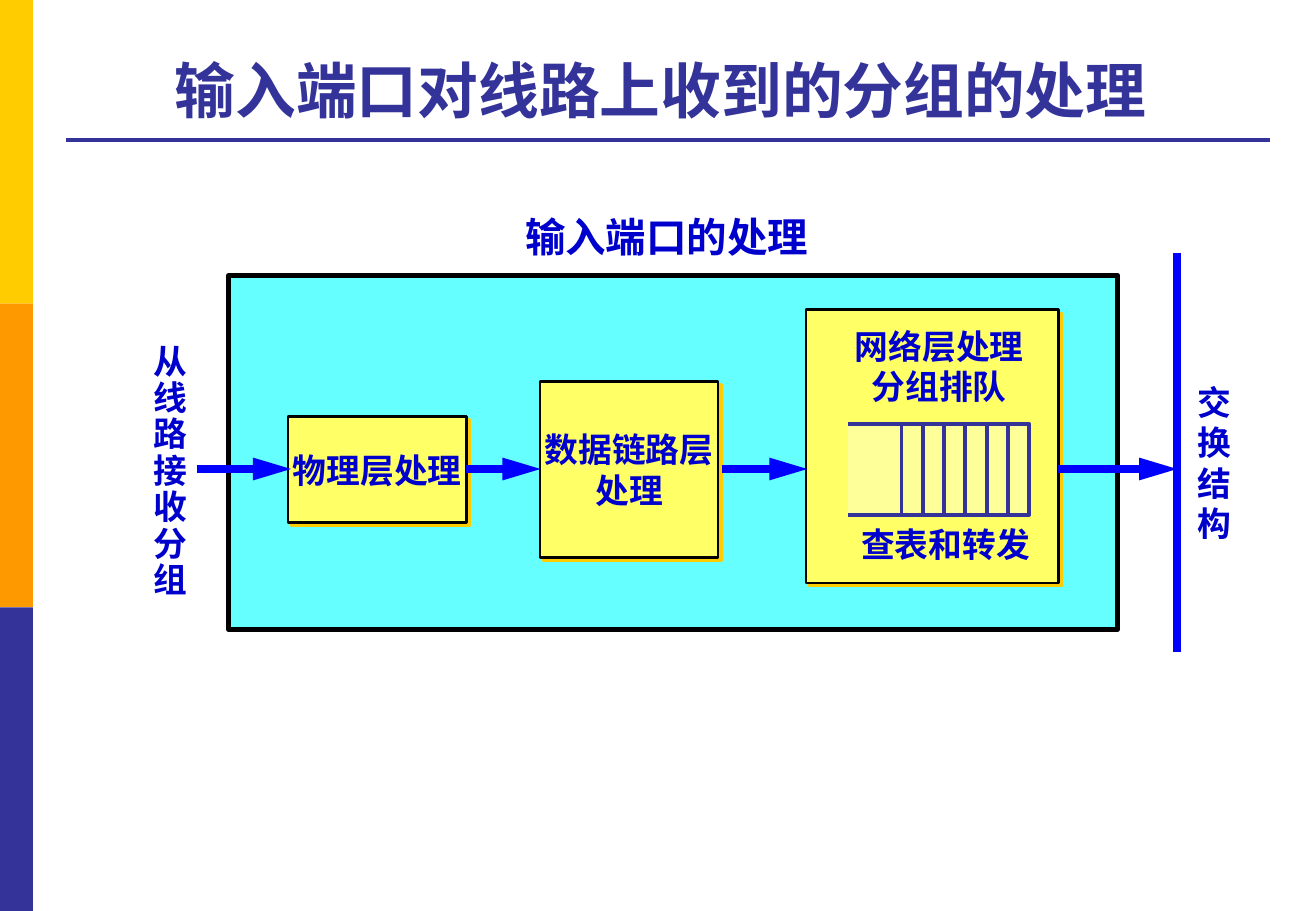
import pptx
import pptx.dml.color
import pptx.enum.shapes
import pptx.enum.text
import pptx.oxml
import pptx.oxml.ns
import pptx.util

Pt = pptx.util.Pt
RGBColor = pptx.dml.color.RGBColor
MSO_SHAPE = pptx.enum.shapes.MSO_SHAPE
MSO_CONNECTOR = pptx.enum.shapes.MSO_CONNECTOR
MSO_ANCHOR = pptx.enum.text.MSO_ANCHOR
PP_ALIGN = pptx.enum.text.PP_ALIGN

GOLD = RGBColor(0xFF, 0xCC, 0x00)
ORANGE = RGBColor(0xFF, 0x99, 0x00)
INDIGO = RGBColor(0x33, 0x33, 0x99)
CYAN = RGBColor(0x66, 0xFF, 0xFF)
YELLOW = RGBColor(0xFF, 0xFF, 0x66)
PALE_YELLOW = RGBColor(0xFF, 0xFF, 0x99)
BLACK = RGBColor(0x00, 0x00, 0x00)
BLUE = RGBColor(0x00, 0x00, 0xFF)
TEXT_BLUE = RGBColor(0x00, 0x00, 0xCC)

FLOW_Y = 278
QUEUE_LEFT, QUEUE_RIGHT = 502.5, 610
QUEUE_TOP, QUEUE_BOTTOM = 251.2, 305.2
SLOT_WIDTH = 12.6
SLOT_COUNT = 6


def write(tf, lines, size=20, color=TEXT_BLUE, anchor=MSO_ANCHOR.TOP, spacing=1.0):
    tf.word_wrap = False
    tf.vertical_anchor = anchor
    tf.text = "\n".join(lines)
    for p in tf.paragraphs:
        p.alignment = PP_ALIGN.CENTER
        p.line_spacing = spacing
        p.font.name = "Arial"
        p.font.size = Pt(size)
        p.font.bold = True
        p.font.color.rgb = color


def add_text(s, left, top, width, height, lines, **style):
    sp = s.shapes.add_textbox(Pt(left), Pt(top), Pt(width), Pt(height))
    write(sp.text_frame, lines, **style)


def add_rect(s, left, top, width, height, fill, line_width=0):
    sp = s.shapes.add_shape(
        MSO_SHAPE.RECTANGLE, Pt(left), Pt(top), Pt(width), Pt(height))
    sp.shadow.inherit = False
    sp.fill.solid()
    sp.fill.fore_color.rgb = fill
    if line_width:
        sp.line.color.rgb = BLACK
        sp.line.width = Pt(line_width)
    else:
        sp.line.fill.background()
    return sp


def add_stage(s, left, top, width, height, lines=()):
    sp = add_rect(s, left, top, width, height, YELLOW, 1.5)
    effects = sp._element.spPr.find(pptx.oxml.ns.qn("a:effectLst"))
    effects.append(pptx.oxml.parse_xml(
        f'<a:outerShdw {pptx.oxml.ns.nsdecls("a")} dist="{Pt(2.8)}" dir="2700000"'
        f' algn="ctr" rotWithShape="0"><a:srgbClr val="{GOLD}"/></a:outerShdw>'))
    if lines:
        write(sp.text_frame, lines, anchor=MSO_ANCHOR.MIDDLE)


def add_line(s, x1, y1, x2, y2, color, width, arrow=False):
    sp = s.shapes.add_connector(
        MSO_CONNECTOR.STRAIGHT, Pt(x1), Pt(y1), Pt(x2), Pt(y2))
    sp.line.color.rgb = color
    sp.line.width = Pt(width)
    ns = pptx.oxml.ns.nsdecls("a")
    if arrow:
        sp.line._get_or_add_ln().append(pptx.oxml.parse_xml(
            f'<a:tailEnd {ns} type="triangle" w="med" len="lg"/>'))
    sp._element.spPr.append(pptx.oxml.parse_xml(f"<a:effectLst {ns}/>"))


def add_queue(s):
    builder = s.shapes.build_freeform(Pt(QUEUE_LEFT), Pt(QUEUE_TOP))
    corners = [(QUEUE_RIGHT, QUEUE_TOP), (QUEUE_RIGHT, QUEUE_BOTTOM),
               (QUEUE_LEFT, QUEUE_BOTTOM)]
    builder.add_line_segments([(Pt(x), Pt(y)) for x, y in corners], close=False)
    sp = builder.convert_to_shape()
    sp.shadow.inherit = False
    sp.fill.solid()
    sp.fill.fore_color.rgb = PALE_YELLOW
    sp.line.color.rgb = INDIGO
    sp.line.width = Pt(2.25)
    for i in range(1, SLOT_COUNT + 1):
        x = QUEUE_RIGHT - i * SLOT_WIDTH
        add_line(s, x, QUEUE_TOP, x, QUEUE_BOTTOM, INDIGO, 2.25)


def main():
    prs = pptx.Presentation()
    prs.slide_width, prs.slide_height = Pt(780), Pt(540)
    s = prs.slides.add_slide(prs.slide_layouts[6])

    for i, color in enumerate((GOLD, ORANGE, INDIGO)):
        add_rect(s, 0, i * 180, 19.5, 180, color)
    add_line(s, 39, 82.8, 753, 82.8, INDIGO, 2.25)
    add_text(s, 35, 15, 713, 62.8, ["输入端口对线路上收到的分组的处理"],
             size=36, color=INDIGO, anchor=MSO_ANCHOR.BOTTOM)

    add_rect(s, 135.5, 163.3, 527, 209.7, CYAN, 3)
    add_stage(s, 170.6, 246.8, 106, 63, ["物理层处理"])
    add_stage(s, 320.2, 226, 105.5, 104.5, ["数据链路层", "处理"])
    add_stage(s, 477.6, 183.5, 149.8, 162)

    for start, end in ((116.6, 172.5), (276.5, 320.4), (427.7, 478.5), (627.1, 697.7)):
        add_line(s, start, FLOW_Y, end, FLOW_Y, BLUE, 4.5, arrow=True)
    add_line(s, 697.7, 149.8, 697.7, 386.6, BLUE, 4.5)
    add_queue(s)

    add_text(s, 498.7, 189.4, 116, 55.4, ["网络层处理", "分组排队"])
    add_text(s, 502.5, 306.7, 116, 31.7, ["查表和转发"])
    add_text(s, 295.7, 122.4, 199, 36, ["输入端口的处理"], size=24)
    add_text(s, 702.7, 222.5, 34.6, 104.4, list("交换结构"))
    add_text(s, 83.5, 200.9, 34.6, 159.8, list("从线路接收分组"), spacing=0.9)

    prs.save("out.pptx")


if __name__ == "__main__":
    main()
